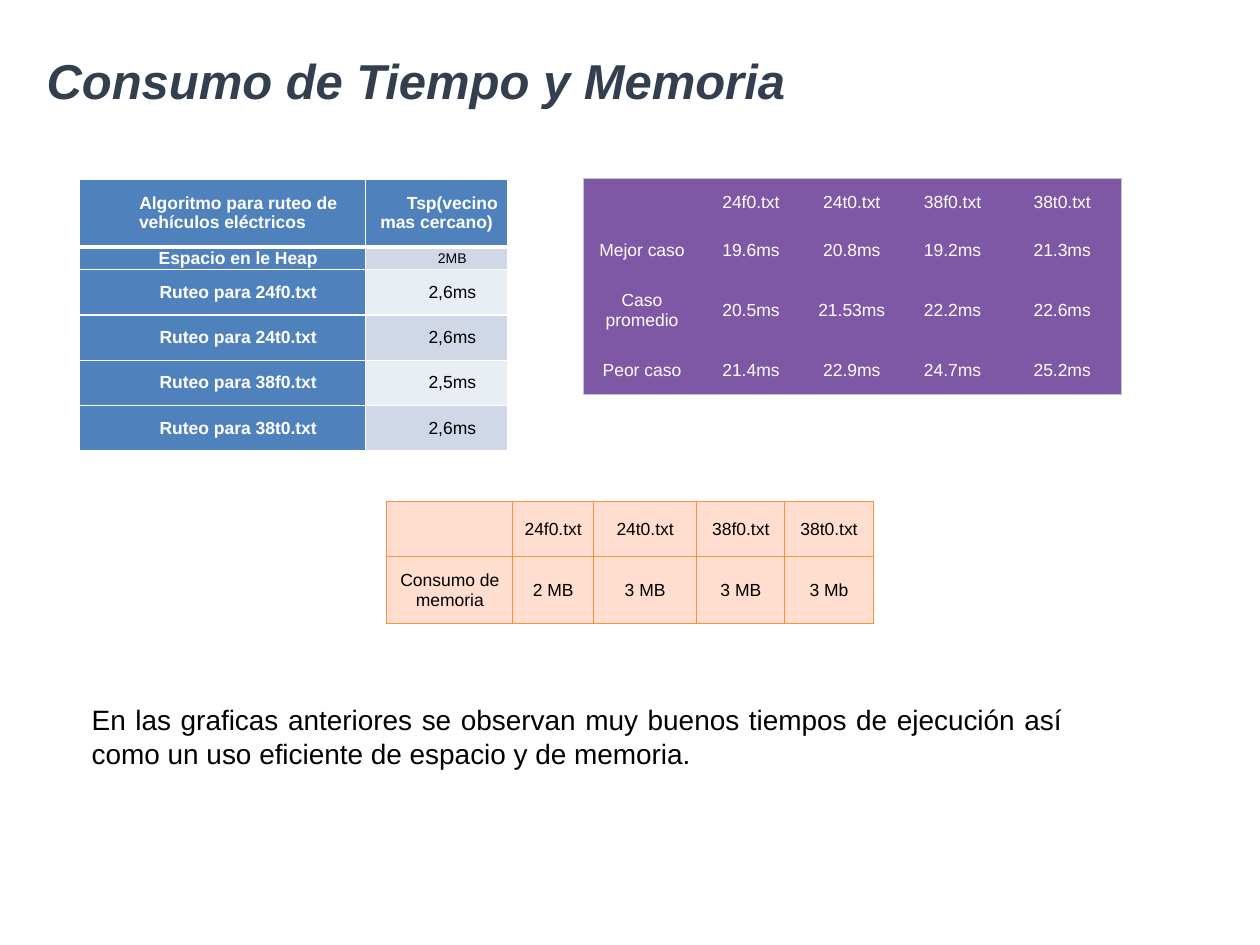
"""Build the slide on time and memory use, with three tables."""
from lxml import etree
from pptx import Presentation, util as u
from pptx.dml.color import RGBColor
from pptx.enum import text
from pptx.oxml.ns import qn

INK = {"title": "333F4F", "black": "000000", "white": "FFFFFF", "blue": "4F81BD",
       "dark": "D0D8E8", "light": "E9EDF4", "purple": "7E57A5", "lilac": "C8C1D3",
       "peach": "FFDECF", "orange": "F69240"}
PLAIN = "{2D5ABB26-0587-4C30-8999-92F81FD0307C}"

TITLE = "Consumo de Tiempo y Memoria"
NOTE = ("En las graficas anteriores se observan muy buenos tiempos de ejecución "
        "así como un uso eficiente de espacio y de memoria.")
FILES = ["24f0.txt", "24t0.txt", "38f0.txt", "38t0.txt"]
MEMORY = [["", *FILES],
          ["Consumo de memoria", "2 MB", "3 MB", "3 MB", "3 Mb"]]
CASES = [["", *FILES],
         ["Mejor caso", "19.6ms", "20.8ms", "19.2ms", "21.3ms"],
         ["Caso promedio", "20.5ms", "21.53ms", "22.2ms", "22.6ms"],
         ["Peor caso", "21.4ms", "22.9ms", "24.7ms", "25.2ms"]]
ROUTES = [["Algoritmo para ruteo de vehículos eléctricos", "Tsp(vecino mas cercano)"],
          ["Espacio en le Heap", "2MB"]]
ROUTES += [["Ruteo para " + name, time]
           for name, time in zip(FILES, ["2,6ms", "2,6ms", "2,5ms", "2,6ms"])]


def style(par, size, color, bold=False, italic=False):
    for run in par.runs:
        font = run.font
        font.name, font.size = "Arial", u.Pt(size)
        font.bold, font.italic = bold, italic
        font.color.rgb = RGBColor.from_string(INK[color])


def place(shape, left, top, width, height):
    shape.left, shape.top = u.Inches(left), u.Inches(top)
    shape.width, shape.height = u.Inches(width), u.Inches(height)


def border(cell, lines):
    props = cell._tc.get_or_add_tcPr()
    for side in "LRTB":
        if side in lines:
            color, width = lines[side]
            line = etree.SubElement(props, qn("a:ln" + side), w=str(u.Pt(width)))
            fill = etree.SubElement(line, qn("a:solidFill"))
            etree.SubElement(fill, qn("a:srgbClr"), val=INK[color])


def grid(slide, data, left, top, cols, rows, look, indent=0):
    frame = slide.shapes.add_table(len(rows), len(cols), u.Inches(left), u.Inches(top),
                                   u.Inches(sum(cols)), u.Inches(sum(rows)))
    table = frame.table
    table._tbl.tblPr.find(qn("a:tableStyleId")).text = PLAIN
    table.first_row = table.horz_banding = False
    for col, width in zip(table.columns, cols):
        col.width = u.Inches(width)
    for row, height in zip(table.rows, rows):
        row.height = u.Inches(height)
    for r, words in enumerate(data):
        for c, word in enumerate(words):
            cell = table.cell(r, c)
            fill, color, size, bold, lines = look(r, c)
            border(cell, lines)
            cell.fill.solid()
            cell.fill.fore_color.rgb = RGBColor.from_string(INK[fill])
            cell.vertical_anchor = text.MSO_ANCHOR.MIDDLE
            cell.margin_left = cell.margin_right = u.Inches(0.07)
            cell.margin_top = cell.margin_bottom = 0
            par = cell.text_frame.paragraphs[0]
            par.text = word
            par.alignment = text.PP_ALIGN.CENTER
            par.space_after = u.Pt(6)
            if indent:
                props = par._p.get_or_add_pPr()
                props.set("marL", "0")
                props.set("indent", str(u.Inches(indent)))
            style(par, size, color, bold)


def memory(r, c):
    return "peach", "black", 10, False, dict.fromkeys("LRTB", ("orange", 0.75))


def cases(r, c):
    edges = {"L": c == 0, "R": c == 4, "T": r == 0, "B": r == 3}
    lines = {side: ("lilac", 0.75) for side, on in edges.items() if on}
    return "purple", "white", 10, False, lines


def routes(r, c):
    lines = dict.fromkeys("LRTB", ("white", 1))
    if r < 2:
        lines["B" if r == 0 else "T"] = ("white", 3)
    if r == 0 or c == 0:
        return "blue", "white", 10, True, lines
    return ("dark" if r % 2 else "light"), "black", (8 if r == 1 else 10), False, lines


def main():
    deck = Presentation()
    deck.slide_width, deck.slide_height = u.Inches(10), u.Inches(7.5)
    slide = deck.slides.add_slide(deck.slide_layouts[5])

    title = slide.shapes.title
    place(title, 0.27, 0.33, 8.62, 0.67)
    frame = title.text_frame
    frame.text = TITLE
    frame.auto_size = text.MSO_AUTO_SIZE.NONE
    frame.vertical_anchor = text.MSO_ANCHOR.MIDDLE
    head = frame.paragraphs[0]
    head.alignment, head.line_spacing = text.PP_ALIGN.LEFT, 0.9
    style(head, 28, "title", True, True)

    note = slide.shapes.add_textbox(0, 0, 0, 0)
    place(note, 0.63, 5.53, 7.9, 0.54)
    note.text_frame.word_wrap = True
    note.text_frame.text = NOTE
    par = note.text_frame.paragraphs[0]
    par.alignment = text.PP_ALIGN.JUSTIFY
    style(par, 16, "black")

    grid(slide, MEMORY, 3.07, 3.98, [1, 0.64, 0.82, 0.7, 0.7], [0.44, 0.53], memory)
    grid(slide, CASES, 4.63, 1.42, [0.93, 0.8, 0.8, 0.8, 0.94],
         [0.38, 0.38, 0.57, 0.38], cases)
    grid(slide, ROUTES, 0.63, 1.42, [2.27, 1.13], [0.54, 0.18] + [0.36] * 4, routes, 0.25)
    deck.save("out.pptx")


if __name__ == "__main__":
    main()
